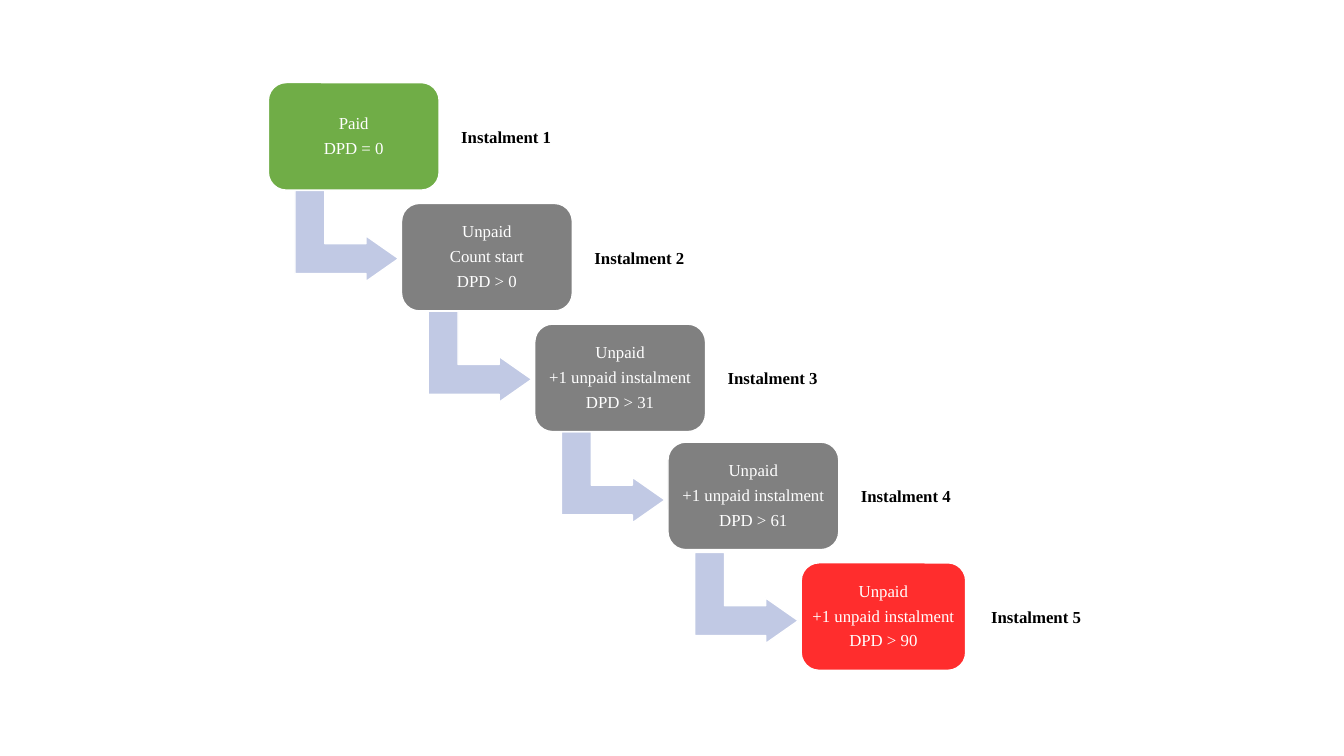
import dataclasses

import pptx
import pptx.dml.color
import pptx.enum.shapes
import pptx.enum.text
import pptx.util

Pt = pptx.util.Pt
RGB = pptx.dml.color.RGBColor
Kind = pptx.enum.shapes.MSO_SHAPE

GREEN = RGB(0x70, 0xAD, 0x47)
GRAY = RGB(0x80, 0x80, 0x80)
RED = RGB(0xFF, 0x2D, 0x2D)
BLUE = RGB(0xC1, 0xC9, 0xE4)
WHITE = RGB(0xFF, 0xFF, 0xFF)
BLACK = RGB(0x00, 0x00, 0x00)

LEFT = 191.7
STEP = 95.15
DROP = 86.2
BOX_H = 76.8
LABEL_W = 85
LABEL_H = 62


@dataclasses.dataclass(frozen=True)
class Stage:
    lines: tuple[str, ...]
    color: RGB
    top: float
    width: float = 122
    gap: float = 5.4


STAGES = (
    Stage(("Paid", "DPD = 0"), GREEN, 59),
    Stage(("Unpaid", "Count start", "DPD > 0"), GRAY, 145.3),
    Stage(("Unpaid", "+1 unpaid instalment", "DPD > 31"), GRAY, 231.5),
    Stage(("Unpaid", "+1 unpaid instalment", "DPD > 61"), GRAY, 315.8),
    Stage(("Unpaid", "+1 unpaid instalment", "DPD > 90"), RED, 402, 117.5, 7.8),
)


def paint(shape: pptx.shapes.autoshape.Shape, color: RGB) -> None:
    shape.shadow.inherit = False
    shape.fill.solid()
    shape.fill.fore_color.rgb = color
    shape.line.color.rgb = WHITE
    shape.line.width = Pt(1)


def write(shape: pptx.shapes.autoshape.Shape, lines: tuple[str, ...],
          color: RGB, after: float, bold: bool = False) -> None:
    frame = shape.text_frame
    frame.word_wrap = True
    frame.vertical_anchor = pptx.enum.text.MSO_ANCHOR.MIDDLE
    frame.margin_left = frame.margin_right = Pt(3.6)
    frame.margin_top = frame.margin_bottom = Pt(3.6)
    frame.text = "\n".join(lines)
    for para in frame.paragraphs:
        para.alignment = pptx.enum.text.PP_ALIGN.CENTER
        para.line_spacing = 0.9
        para.space_after = Pt(after)
        para.font.name = "Times New Roman"
        para.font.size = Pt(12)
        para.font.bold = bold
        para.font.color.rgb = color


def add_arrow(slide: pptx.slide.Slide, index: int) -> None:
    arrow = slide.shapes.add_shape(
        Kind.BENT_UP_ARROW, Pt(215.2 + index * STEP), Pt(131.5 + index * DROP),
        Pt(65), Pt(74))
    arrow.rotation = 90
    for spot, value in enumerate((0.328, 0.25, 0.358)):
        arrow.adjustments[spot] = value
    paint(arrow, BLUE)


def add_stage(slide: pptx.slide.Slide, index: int, stage: Stage) -> None:
    left = LEFT + index * STEP
    box = slide.shapes.add_shape(
        Kind.ROUNDED_RECTANGLE, Pt(left), Pt(stage.top),
        Pt(stage.width), Pt(BOX_H))
    paint(box, stage.color)
    write(box, stage.lines, WHITE, 4.7)

    label = slide.shapes.add_textbox(
        Pt(left + stage.width + stage.gap),
        Pt(stage.top + (BOX_H - LABEL_H) / 2 + 1), Pt(LABEL_W), Pt(LABEL_H))
    write(label, (f"Instalment {index + 1}",), BLACK, 2, True)


def main() -> None:
    deck = pptx.Presentation()
    deck.slide_width = Pt(960)
    deck.slide_height = Pt(540)
    slide = deck.slides.add_slide(deck.slide_layouts[6])
    for index, stage in enumerate(STAGES):
        if index < len(STAGES) - 1:
            add_arrow(slide, index)
        add_stage(slide, index, stage)
    deck.save("out.pptx")


main()
